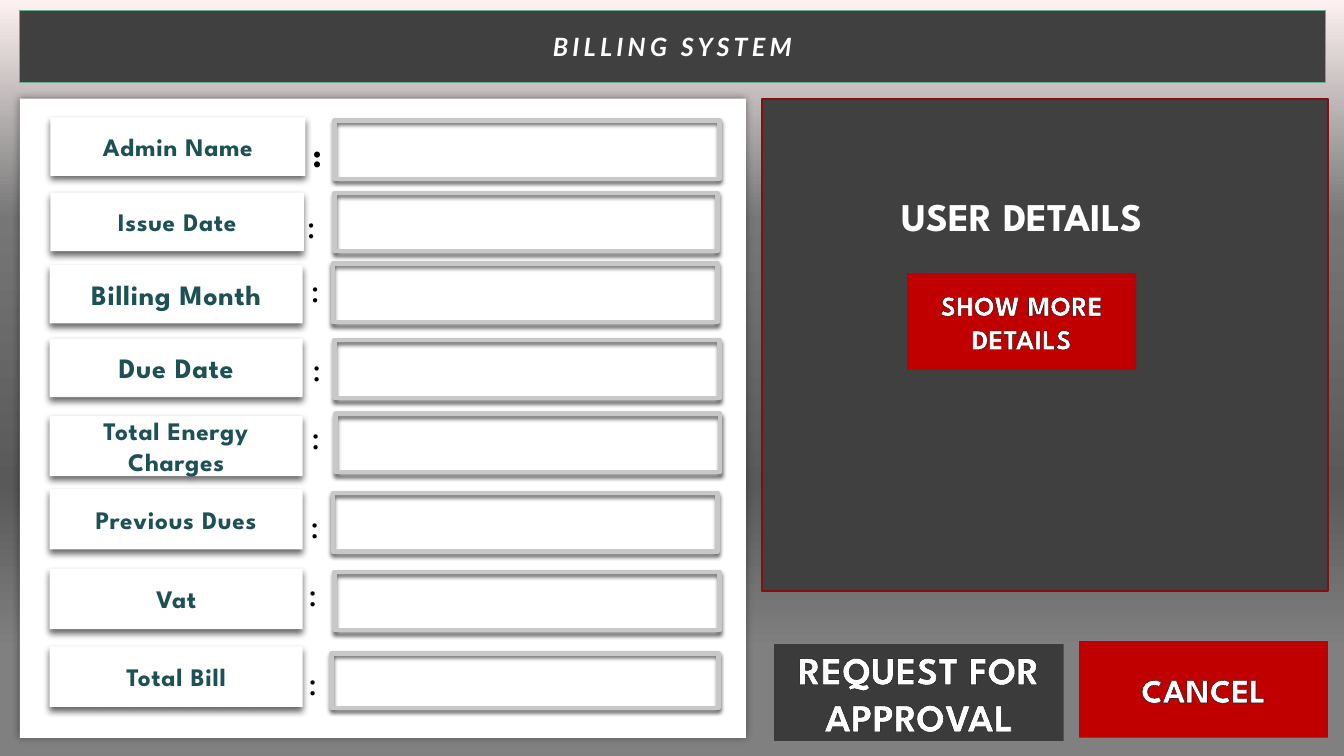
"""Build the billing system form slide."""
from dataclasses import dataclass

from lxml.etree import SubElement as Sub
from pptx import Presentation
from pptx.dml.color import RGBColor as RGB
from pptx.enum.shapes import MSO_SHAPE as Shape
from pptx.enum.text import MSO_ANCHOR as Anchor, MSO_AUTO_SIZE as Auto, PP_ALIGN as Align
from pptx.oxml.ns import qn
from pptx.util import Pt


@dataclass(frozen=True)
class Theme:
    white: str = "FFFFFF"
    black: str = "000000"
    dark: str = "404040"
    coal: str = "3B3B3B"
    red: str = "C00000"
    wine: str = "82100E"
    teal: str = "1E5155"
    green: str = "6AAC90"
    gray: str = "C8C8C8"
    fade: tuple = ((0, "FDF1F1"), (29, "767676"), (64, "595959"), (86, "808080"))
    head: str = "Lato"
    body: str = "League Spartan"
    small: int = 18
    mid: int = 20
    large: int = 24
    huge: int = 28


T = Theme()


def box(area, fill=None, line=None, shade=None):
    """Add a rectangle with optional fill, (colour, width) line and (alpha, blur, gap) shadow."""
    rect = slide.shapes.add_shape(Shape.RECTANGLE, *map(Pt, area))
    rect.shadow.inherit = False
    if fill:
        rect.fill.solid()
        rect.fill.fore_color.rgb = RGB.from_string(fill)
    else:
        rect.fill.background()
    if line:
        rect.line.color.rgb = RGB.from_string(line[0])
        rect.line.width = Pt(line[1])
    else:
        rect.line.fill.background()
    if shade:
        alpha, blur, gap = shade
        cast = Sub(rect._element.spPr.find(qn("a:effectLst")), qn("a:outerShdw"),
                   blurRad=str(Pt(blur)), dist=str(Pt(gap)), dir="5400000",
                   algn="ctr", rotWithShape="0")
        tint = Sub(cast, qn("a:srgbClr"), val=T.black)
        Sub(tint, qn("a:alpha"), val=str(alpha * 1000))
    return rect


def write(shape, text, size, color, bold=True, space=0, edge=False, font=T.body):
    """Put centred text in a shape; space is letter spacing in points."""
    frame = shape.text_frame
    frame.text = text
    frame.vertical_anchor = Anchor.MIDDLE
    para = frame.paragraphs[0]
    para.alignment = Align.CENTER
    run = para.runs[0]
    run.font.name, run.font.size, run.font.bold = font, Pt(size), bold
    run.font.color.rgb = RGB.from_string(color)
    props = run._r.get_or_add_rPr()
    if space:
        props.set("spc", str(int(space * 100)))
    if edge:
        rim = Sub(props, qn("a:ln"), w=str(Pt(0.75)))
        Sub(Sub(rim, qn("a:solidFill")), qn("a:srgbClr"), val=T.black)
        props.insert(0, rim)
    return run


deck = Presentation()
deck.slide_width, deck.slide_height = Pt(960), Pt(540)
slide = deck.slides.add_slide(deck.slide_layouts[5])

back = slide.background.fill
back.gradient()
back.gradient_angle = 270
stops = slide._element.find(".//" + qn("a:gsLst"))
stops.clear()
for pos, color in T.fade:
    Sub(Sub(stops, qn("a:gs"), pos=str(pos * 1000)), qn("a:srgbClr"), val=color)

title = slide.shapes.title
title.left, title.top, title.width, title.height = map(Pt, (14.2, 7.4, 932.3, 51.8))
title.fill.solid()
title.fill.fore_color.rgb = RGB.from_string(T.dark)
title.line.color.rgb = RGB.from_string(T.green)
title.line.width = Pt(0.75)
write(title, "BILLING SYSTEM", T.small, T.white, space=3, font=T.head).font.italic = True

box((544.2, 70.5, 404.6, 351.8), T.dark, (T.wine, 1.5))
box((14.2, 70.5, 518.6, 456.6), T.white, shade=(40, 5, 0))

rows = [
    ("Admin Name", T.small, (36, 83.8, 182.2, 41.8), (225.7, 99.4), (239, 86, 275, 41.8)),
    ("Issue Date", T.small, (36, 137.6, 181.2, 41.8), (221.8, 149.8), (239, 137.6, 273.6, 41.8)),
    ("Billing Month", T.mid, (35.5, 189.2, 180.7, 41.8), (224.6, 195.8), (237.6, 188.2, 275, 41.8)),
    ("Due Date", T.mid, (35.5, 241.8, 180.7, 41.8), (225.7, 252), (239, 242.6, 275, 41.8)),
    ("Total Energy Charges", T.small, (35.5, 297, 180.7, 43.2), (225, 301), (239.6, 295.4, 275, 41.8)),
    ("Previous Dues", T.small, (35.5, 349.2, 180.7, 43.2), (224.3, 364.3), (237.6, 352.2, 275, 41.8)),
    ("Vat", T.small, (35.5, 406.2, 180.7, 43.2), (222.8, 412.6), (239, 408.4, 275, 41.8)),
    ("Total Bill", T.small, (35.5, 461.8, 180.7, 43.2), (222.8, 476.6), (236.8, 466.8, 276.5, 38.9)),
]
for num, (name, size, area, (mid, top), field) in enumerate(rows):
    write(box(area, T.white, shade=(60, 5, 3)), name, size, T.teal, space=0.5)
    colon = slide.shapes.add_textbox(Pt(mid - 2.5), Pt(top), Pt(5), Pt(21.6))
    frame = colon.text_frame
    frame.word_wrap = False
    frame.margin_left = frame.margin_right = frame.margin_top = frame.margin_bottom = 0
    write(colon, ":", T.large, T.black, bold=num == 0)
    box(field, line=(T.gray, 3), shade=(64, 3, 2))

buttons = [
    ("REQUEST FOR APPROVAL", T.huge, (553, 460.2, 206.8, 69), T.coal),
    ("CANCEL", T.large, (770.8, 458, 177.8, 69), T.red),
    ("SHOW MORE DETAILS", T.mid, (648, 195.2, 163.6, 69), T.red),
]
for name, size, area, fill in buttons:
    write(box(area, fill), name, size, T.white, edge=True)

user = slide.shapes.add_textbox(Pt(635.8), Pt(134), Pt(188.6), Pt(41))
user.text_frame.word_wrap = False
user.text_frame.auto_size = Auto.SHAPE_TO_FIT_TEXT
write(user, "USER DETAILS", T.huge, T.white)

deck.save("out.pptx")
